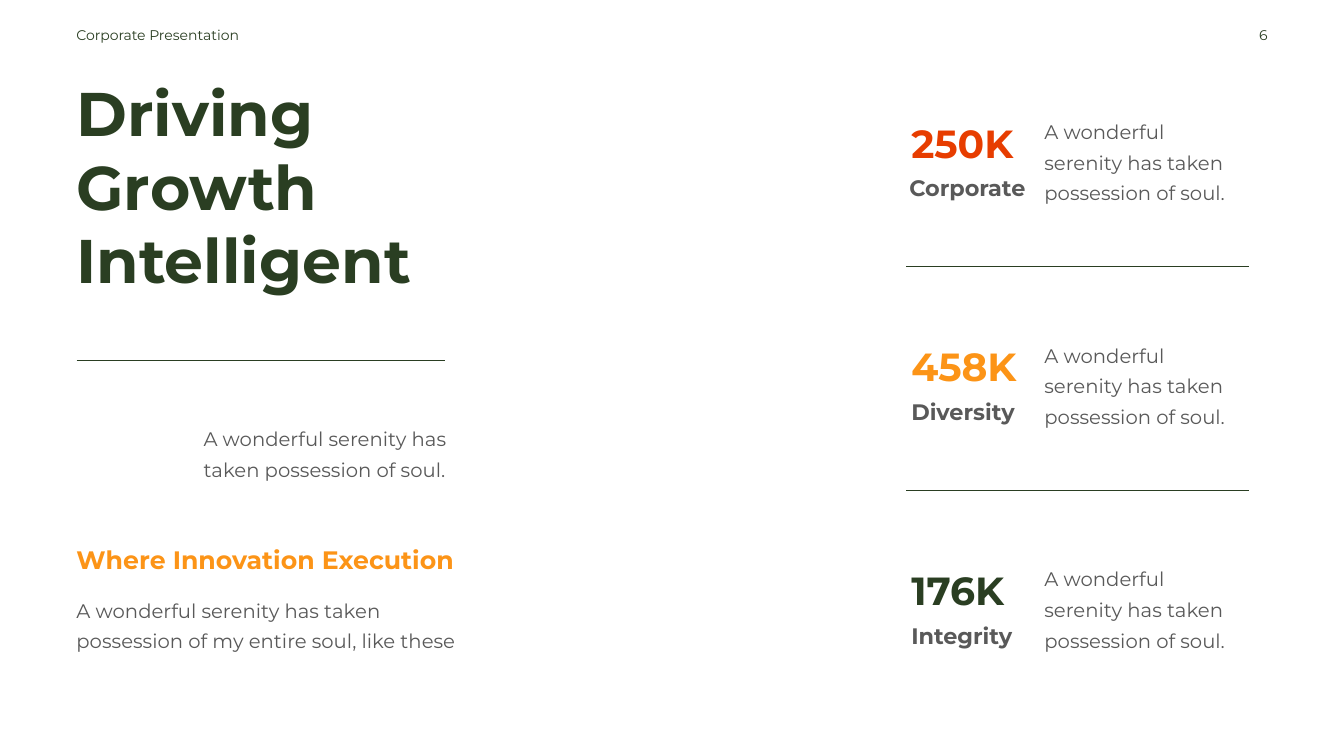
from lxml import etree
from pptx import Presentation
from pptx import util as u
from pptx.dml.color import RGBColor
from pptx.enum import shapes, text
from pptx.oxml.ns import qn

FONT = "Montserrat"
COLORS = {
    "green": "2A3E22",
    "red": "E73D00",
    "orange": "FC9417",
    "gray": "595959",
    "white": "FFFFFF",
}
SERENITY = "A wonderful serenity has taken possession of soul."
STATISTICS = [
    # value, value colour, label, label left
    ("250K", "red", "Corporate", 8.92),
    ("458K", "orange", "Diversity", 8.94),
    ("176K", "green", "Integrity", 8.94),
]
STATISTIC_TOP = 0.99
STATISTIC_STEP = 2.22


def color(name):
    return RGBColor.from_string(COLORS[name])


def add_text(slide, words, left, top, width, height, size, color_name,
             bold=False, spacing=None, align=text.PP_ALIGN.LEFT, grow=True):
    box = slide.shapes.add_textbox(
        u.Inches(left), u.Inches(top), u.Inches(width), u.Inches(height))
    frame = box.text_frame
    frame.text = words
    frame.word_wrap = True
    if grow:
        frame.auto_size = text.MSO_AUTO_SIZE.SHAPE_TO_FIT_TEXT
    paragraph = frame.paragraphs[0]
    paragraph.alignment = align
    if spacing:
        paragraph.line_spacing = spacing
    font = paragraph.runs[0].font
    font.name = FONT
    font.size = u.Pt(size)
    font.bold = bold
    font.color.rgb = color(color_name)


def add_body(slide, words, left, top, width, height):
    add_text(slide, words, left, top, width, height, 14, "gray", spacing=1.3)


def add_rule(slide, left, right, top):
    line = slide.shapes.add_connector(
        shapes.MSO_CONNECTOR.STRAIGHT,
        u.Inches(left), u.Inches(top), u.Inches(right), u.Inches(top))
    line.line.color.rgb = color("green")
    line.line.width = u.Pt(0.5)
    etree.SubElement(line._element.spPr, qn("a:effectLst"))


def add_statistic(slide, top, value, value_color, label, label_left):
    add_text(slide, value, 8.94, top, 1.32, 0.66, 28, value_color,
             bold=True, spacing=1.3)
    add_text(slide, label, label_left, top + 0.61, 1.59, 0.42, 16, "gray",
             bold=True, spacing=1.3)
    add_body(slide, SERENITY, 10.26, top + 0.08, 2.18, 0.99)


def main():
    presentation = Presentation()
    presentation.slide_width = u.Inches(13.33)
    presentation.slide_height = u.Inches(7.5)
    slide = presentation.slides.add_slide(presentation.slide_layouts[6])
    slide.background.fill.solid()
    slide.background.fill.fore_color.rgb = color("white")

    # Header
    add_text(slide, "Corporate Presentation", 0.66, 0.21, 2.01, 0.27, 10, "green")
    add_text(slide, "6", 9.67, 0.21, 3, 0.27, 10, "green",
             align=text.PP_ALIGN.RIGHT, grow=False)

    # Title and introduction
    add_text(slide, "Driving Growth Intelligent", 0.66, 0.69, 4.82, 2.32, 44,
             "green", bold=True)
    add_rule(slide, 0.76, 4.41, 3.58)
    add_body(slide, SERENITY, 1.92, 4.12, 2.72, 0.69)

    # Innovation section
    add_text(slide, "Where Innovation Execution", 0.66, 5.35, 3.98, 0.4, 18,
             "orange", bold=True)
    add_body(slide, "A wonderful serenity has taken possession of my entire soul, "
             "like these", 0.66, 5.82, 3.98, 0.69)

    # Statistics with a rule between neighbours
    for index, statistic in enumerate(STATISTICS):
        top = STATISTIC_TOP + index * STATISTIC_STEP
        add_statistic(slide, top, *statistic)
        if index < len(STATISTICS) - 1:
            add_rule(slide, 8.99, 12.39, top + 1.65)

    presentation.save("out.pptx")


if __name__ == "__main__":
    main()
